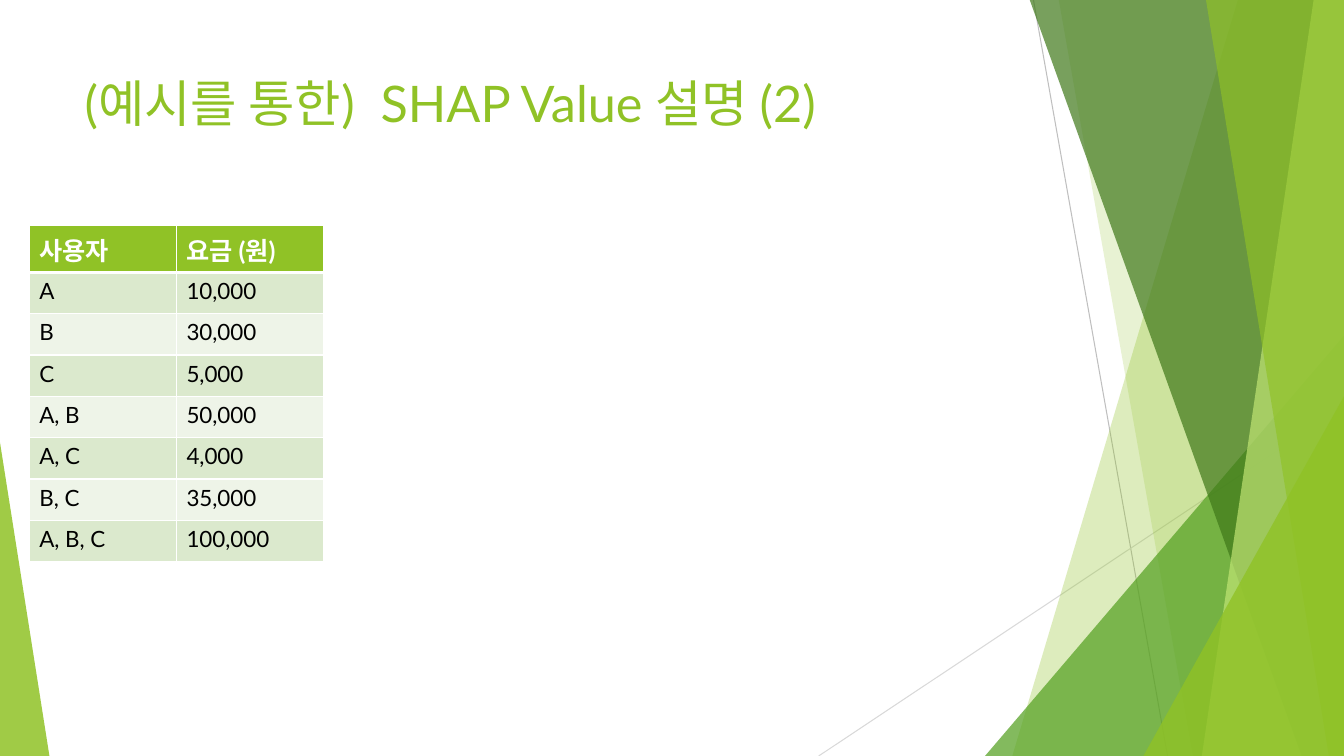
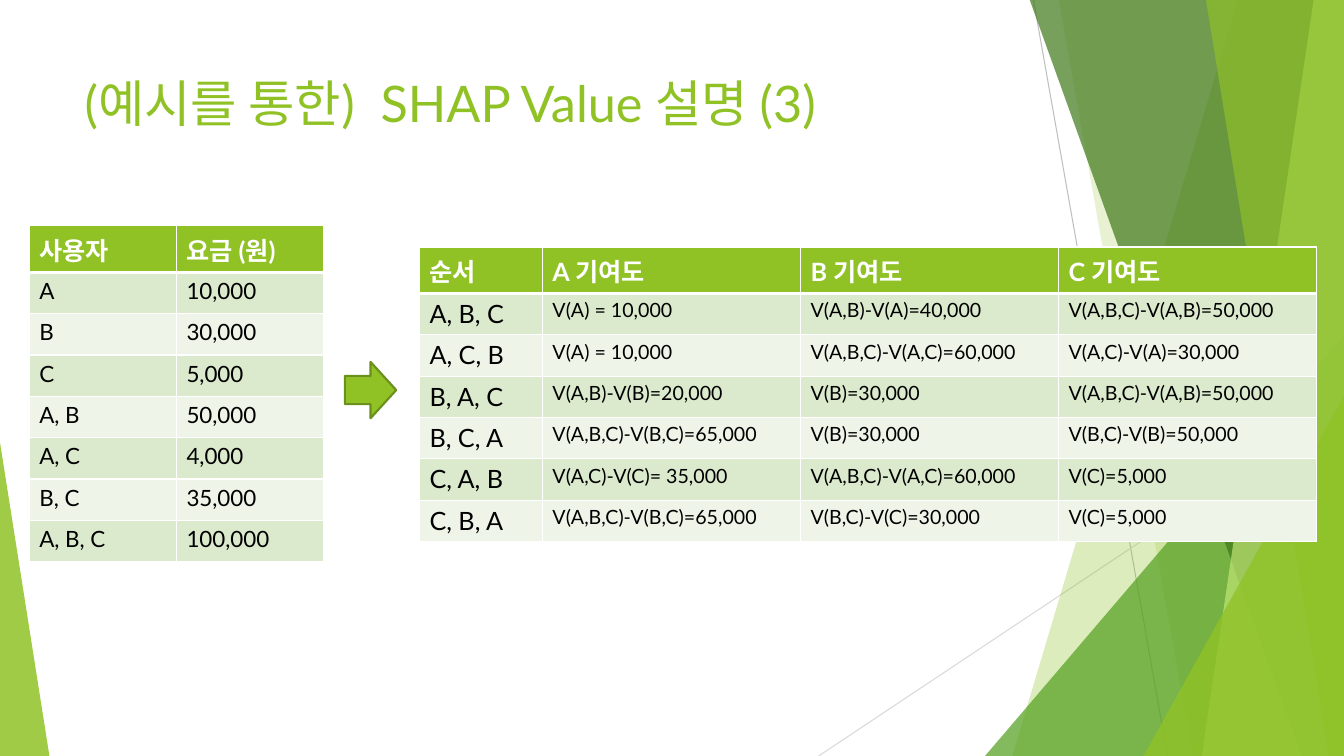
import dataclasses

import lxml.etree
import pptx
import pptx.dml.color
import pptx.enum.shapes
import pptx.enum.text
import pptx.oxml.ns
import pptx.util

Inches = pptx.util.Inches
Pt = pptx.util.Pt
qn = pptx.oxml.ns.qn
SHAPE = pptx.enum.shapes.MSO_SHAPE


@dataclasses.dataclass(frozen=True)
class Theme:
    font: str = "Lato"
    accent: str = "90C226"
    accent_dark: str = "6B901C"
    leaf: str = "54A021"
    forest: str = "3F7819"
    lime: str = "C0E474"
    white: str = "FFFFFF"
    black: str = "000000"
    line: str = "BFBFBF"
    line_light: str = "D9D9D9"
    stripes: tuple = ("DBE9CD", "EEF4E8")
    title_size: int = 36
    head_size: int = 18
    cell_size: int = 16
    small_size: int = 14
    grid: float = 1
    head_rule: float = 3
    hairline: float = 0.75
    outline: float = 1.5


WIDTH, HEIGHT = 13.33, 7.5
TOP = -0.01
ROW_HEIGHT = 0.41


def rgb(color):
    return pptx.dml.color.RGBColor.from_string(color)


def apply(target, values):
    for name, value in values.items():
        setattr(target, name, value)


class Deck:
    def __init__(self, theme):
        self.theme = theme
        self.prs = pptx.Presentation()
        apply(self.prs, {"slide_width": Inches(WIDTH), "slide_height": Inches(HEIGHT)})
        self.layout = self.prs.slide_layouts[5]
        self.slide = None

    def new_slide(self, title):
        first = self.slide is None
        self.slide = self.prs.slides.add_slide(self.layout)
        if first:
            self.backdrop()
        self.title(title)

    def text(self, tf, text, size, color, bold=False):
        p = tf.paragraphs[0]
        p.alignment = pptx.enum.text.PP_ALIGN.LEFT
        r = p.add_run()
        r.text = text
        apply(r.font, {"name": self.theme.font, "size": Pt(size), "bold": bold})
        r.font.color.rgb = rgb(color)

    def title(self, text):
        sp = self.slide.shapes.title
        apply(sp, {"left": Inches(0.74), "top": Inches(0.67),
                   "width": Inches(9.4), "height": Inches(1.44)})
        tf = sp.text_frame
        apply(tf, {"word_wrap": True,
                   "auto_size": pptx.enum.text.MSO_AUTO_SIZE.NONE,
                   "vertical_anchor": pptx.enum.text.MSO_ANCHOR.TOP})
        self.text(tf, text, self.theme.title_size, self.theme.accent)

    def paint(self, sp, color, opacity=100):
        sp.shadow.inherit = False
        sp.fill.solid()
        sp.fill.fore_color.rgb = rgb(color)
        sp.line.fill.background()
        if opacity < 100:
            clr = sp.element.xpath("./p:spPr/a:solidFill/a:srgbClr")[0]
            lxml.etree.SubElement(clr, qn("a:alpha"), val=str(opacity * 1000))
        return sp

    def shape(self, kind, at, color, opacity=100):
        sp = self.slide.shapes.add_shape(kind, *map(Inches, at))
        return self.paint(sp, color, opacity)

    def triangle(self, at, apex, color, opacity):
        sp = self.shape(SHAPE.ISOSCELES_TRIANGLE, at, color, opacity)
        sp.adjustments[0] = apex
        return sp

    def band(self, top_x, bottom_x, color, opacity):
        corners = [(WIDTH, TOP), (WIDTH, HEIGHT), (bottom_x, HEIGHT)]
        builder = self.slide.shapes.build_freeform(Inches(top_x), Inches(TOP))
        builder.add_line_segments([(Inches(x), Inches(y)) for x, y in corners])
        return self.paint(builder.convert_to_shape(), color, opacity)

    def line(self, start, end, color):
        cxn = self.slide.shapes.add_connector(
            pptx.enum.shapes.MSO_CONNECTOR.STRAIGHT, *map(Inches, start + end))
        cxn.line.color.rgb = rgb(color)
        cxn.line.width = Pt(self.theme.hairline)
        lxml.etree.SubElement(cxn.element.spPr, qn("a:effectLst"))
        return cxn

    def backdrop(self):
        t = self.theme
        parts = [
            self.line((10.25, 0), (11.58, HEIGHT), t.line),
            self.line((WIDTH, 4.03), (8.12, HEIGHT), t.line_light),
            self.band(12.28, 10.04, t.accent, 30),
            self.band(10.5, 11.83, t.accent, 20),
            self.triangle((9.77, 3.33, 3.56, 4.17), 1, t.leaf, 72),
            self.band(10.21, 12.91, t.forest, 70),
            self.band(13.03, 11.92, t.lime, 70),
            self.band(11.96, 13.18, t.accent, 65),
            self.triangle((11.34, 3.93, 1.99, 3.57), 1, t.accent, 80),
            self.triangle((0, 4.39, 0.49, 3.11), 0, t.accent, 85),
        ]
        tree = self.layout.element.cSld.spTree
        for number, sp in enumerate(parts, 101):
            sp.element.xpath(".//p:cNvPr")[0].set("id", str(number))
            tree.append(sp.element)

    def borders(self, cell, top, bottom):
        grid = self.theme.grid
        tcPr = cell._tc.get_or_add_tcPr()
        for side, width in zip("LRTB", (grid, grid, top, bottom)):
            ln = lxml.etree.SubElement(tcPr, qn("a:ln" + side), w=str(Pt(width)))
            fill = lxml.etree.SubElement(ln, qn("a:solidFill"))
            lxml.etree.SubElement(fill, qn("a:srgbClr"), val=self.theme.white)

    def table(self, left, top, widths, rows, sizes):
        t = self.theme
        frame = self.slide.shapes.add_table(
            len(rows), len(widths), Inches(left), Inches(top),
            Inches(sum(widths)), Inches(ROW_HEIGHT * len(rows)))
        table = frame.table
        for column, width in zip(table.columns, widths):
            column.width = Inches(width)
        for i, row in enumerate(rows):
            table.rows[i].height = Inches(ROW_HEIGHT)
            head = i == 0
            fill = t.accent if head else t.stripes[(i - 1) % 2]
            color = t.white if head else t.black
            for j, text in enumerate(row):
                cell = table.cell(i, j)
                self.borders(cell, t.head_rule if i == 1 else t.grid,
                             t.head_rule if head else t.grid)
                cell.fill.solid()
                cell.fill.fore_color.rgb = rgb(fill)
                size = t.head_size if head else sizes[j]
                self.text(cell.text_frame, text, size, color, head)

    def arrow(self, at):
        sp = self.shape(SHAPE.RIGHT_ARROW, at, self.theme.accent)
        sp.line.color.rgb = rgb(self.theme.accent_dark)
        sp.line.width = Pt(self.theme.outline)


FEES = [
    ("사용자", "요금 (원)"),
    ("A", "10,000"),
    ("B", "30,000"),
    ("C", "5,000"),
    ("A, B", "50,000"),
    ("A, C", "4,000"),
    ("B, C", "35,000"),
    ("A, B, C", "100,000"),
]

CONTRIBUTIONS = [
    ("순서", "A 기여도", "B 기여도", "C 기여도"),
    ("A, B, C", "V(A) = 10,000", "V(A,B)-V(A)=40,000", "V(A,B,C)-V(A,B)=50,000"),
    ("A, C, B", "V(A) = 10,000", "V(A,B,C)-V(A,C)=60,000", "V(A,C)-V(A)=30,000"),
    ("B, A, C", "V(A,B)-V(B)=20,000", "V(B)=30,000", "V(A,B,C)-V(A,B)=50,000"),
    ("B, C, A", "V(A,B,C)-V(B,C)=65,000", "V(B)=30,000", "V(B,C)-V(B)=50,000"),
    ("C, A, B", "V(A,C)-V(C)= 35,000", "V(A,B,C)-V(A,C)=60,000", "V(C)=5,000"),
    ("C, B, A", "V(A,B,C)-V(B,C)=65,000", "V(B,C)-V(C)=30,000", "V(C)=5,000"),
]


def main():
    theme = Theme()
    deck = Deck(theme)
    for number in (2, 3):
        deck.new_slide(f"(예시를 통한)  SHAP Value 설명 ({number})")
        deck.table(0.29, 2.24, [1.46] * 2, FEES, [theme.cell_size] * 2)
    deck.table(4.16, 2.45, [1.22] + [2.56] * 3, CONTRIBUTIONS,
               [theme.head_size] + [theme.small_size] * 3)
    deck.arrow((3.42, 3.59, 0.51, 0.56))
    deck.prs.save("out.pptx")


if __name__ == "__main__":
    main()
